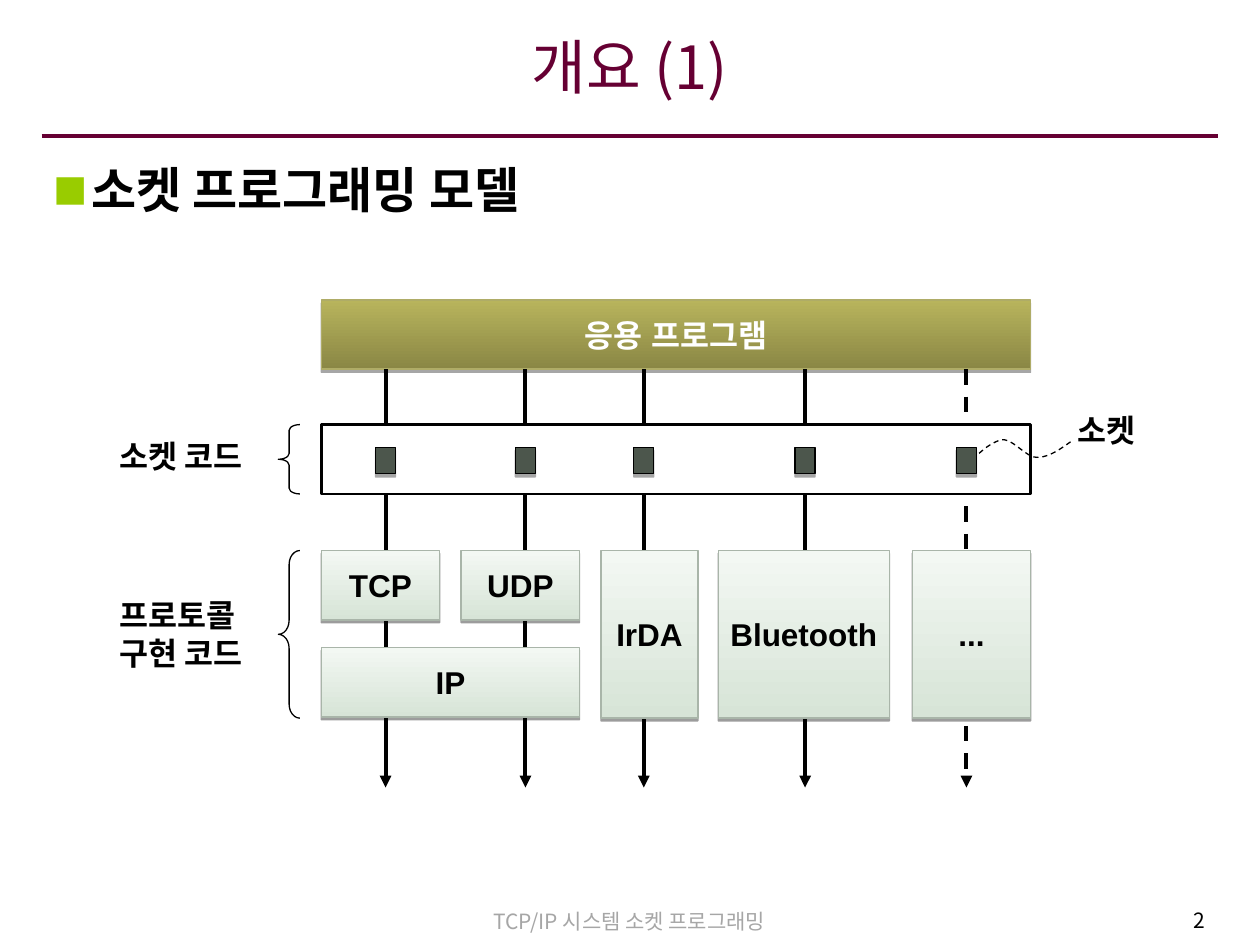
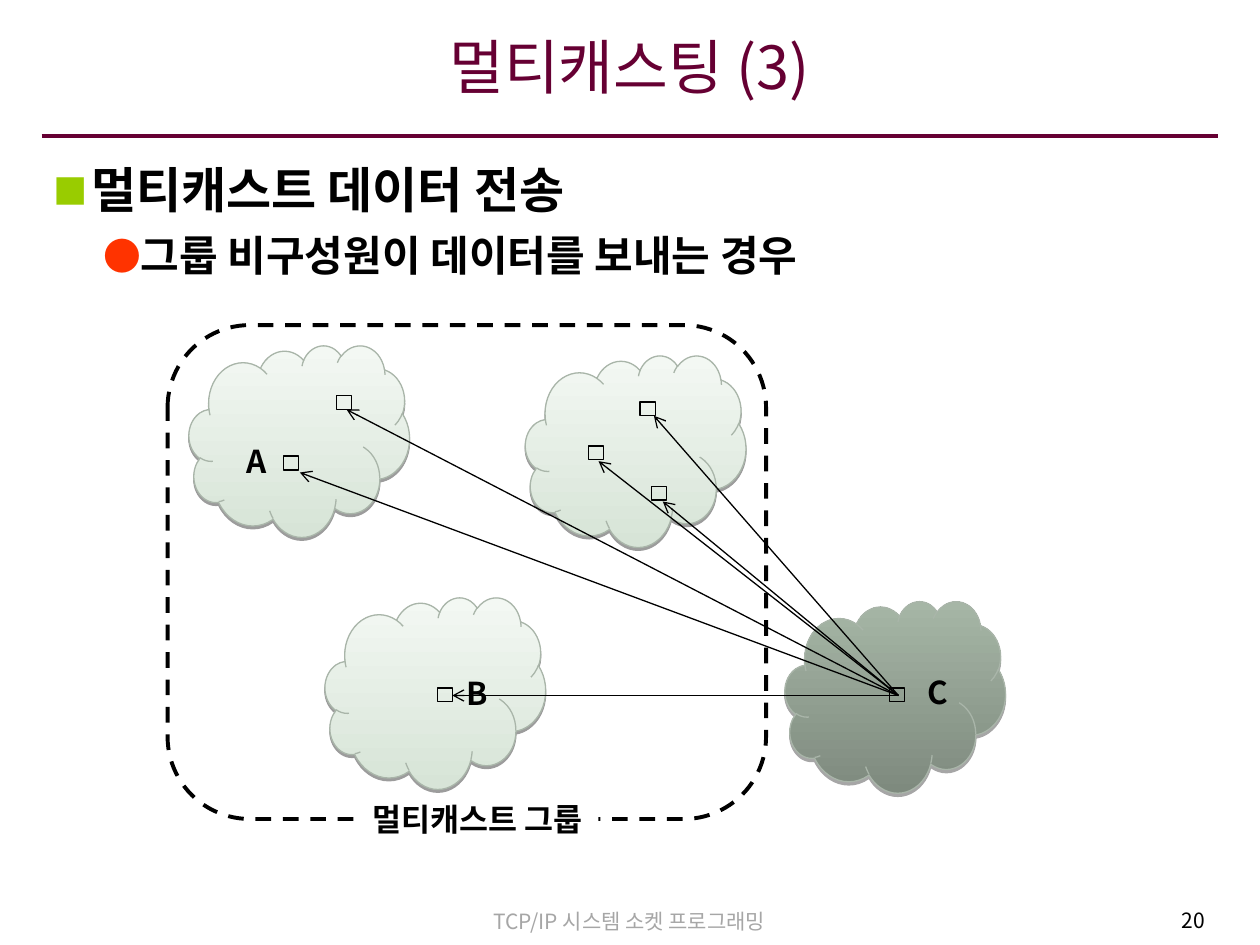
from dataclasses import dataclass
from typing import NamedTuple, Optional

from lxml import etree
from pptx import Presentation
from pptx import util as u
from pptx.dml.color import RGBColor
from pptx.enum import dml, shapes, text
from pptx.oxml.ns import qn

COLS, ROWS = 100, 75
KOREAN, LATIN = "Noto Sans CJK KR", "Arial"
MAROON, BLACK, WHITE, GRAY = "660033", "000000", "FFFFFF", "A6A6A6"
SAGE_EDGE, SOCKET_FILL = "A9B5A9", "4C564C"
FOOTER = "TCP/IP 시스템 소켓 프로그래밍"
SHAPE = shapes.MSO_SHAPE
ALIGN = text.PP_ALIGN
MIDDLE = text.MSO_ANCHOR.MIDDLE

prs = Presentation()
prs.slide_width, prs.slide_height = u.Inches(10), u.Inches(7.5)


def col(n: float) -> int:
    return round(prs.slide_width * n / COLS)


def row(n: float) -> int:
    return round(prs.slide_height * n / ROWS)


class Box(NamedTuple):
    left: float
    top: float
    width: float
    height: float

    def emu(self) -> tuple:
        return col(self.left), row(self.top), col(self.width), row(self.height)


class Point(NamedTuple):
    x: float
    y: float


@dataclass(frozen=True)
class Look:
    fill: tuple = ()
    edge: Optional[str] = None
    weight: float = 0.75
    dashed: bool = False
    shadow: Optional[tuple] = None


@dataclass(frozen=True)
class Type:
    size: float = 18
    color: str = BLACK
    bold: bool = True
    font: str = KOREAN
    align: ALIGN = ALIGN.LEFT


@dataclass(frozen=True)
class Bullet:
    char: str
    color: str
    scale: int
    indent: float
    before: float
    size: float


class Block(NamedTuple):
    label: str
    box: Box


APP = Look(("8A8745", "B8B45C"), "AFAC67", shadow=(35, 1.8))
SAGE = Look(("D7E4D7", "F3F8F3"), SAGE_EDGE, shadow=(38, 1.6))
DARK_SAGE = Look(("7E8A7E", "A6B6A6"), SAGE_EDGE, shadow=(35, 1.8))
SOCKET = Look((SOCKET_FILL,), BLACK, shadow=(35, 1.8))
OUTLINE = Look(edge=BLACK)
LABEL = Type()
CENTERED = Type(align=ALIGN.CENTER)
BLOCK_TYPE = Type(font=LATIN, align=ALIGN.CENTER)
BULLETS = (Bullet("■", "99CC00", 70, 3, 7, 28),
           Bullet("●", "FF3300", 90, 6.9, 6, 24))


def rgb(value: str) -> RGBColor:
    return RGBColor.from_string(value)


def sub(parent, tag: str, **attrs):
    return etree.SubElement(parent, qn(tag), {k: str(v) for k, v in attrs.items()})


def set_type(p, style: Type) -> None:
    p.alignment = style.align
    f = p.font
    f.name, f.size, f.bold = style.font, u.Pt(style.size), style.bold
    f.color.rgb = rgb(style.color)
    sub(f._element, "a:ea", typeface=style.font)


def write(sp, lines: str, style: Type, wrap: bool = False) -> None:
    tf = sp.text_frame
    tf.word_wrap = wrap
    tf.text = lines
    for p in tf.paragraphs:
        set_type(p, style)


def set_line(line, look: Look) -> None:
    if look.edge is None:
        line.fill.background()
        return
    line.color.rgb = rgb(look.edge)
    line.width = u.Pt(look.weight)
    if look.dashed:
        line.dash_style = dml.MSO_LINE.DASH


def dress(sp, look: Look) -> None:
    if len(look.fill) == 2:
        sp.fill.gradient()
        sp.fill.gradient_angle = 90
        for stop, color in zip(sp.fill.gradient_stops, look.fill):
            stop.color.rgb = rgb(color)
    elif look.fill:
        sp.fill.solid()
        sp.fill.fore_color.rgb = rgb(look.fill[0])
    else:
        sp.fill.background()
    set_line(sp.line, look)
    sp.shadow.inherit = False
    if look.shadow:
        alpha, distance = look.shadow
        effects = sp._element.spPr.find(qn("a:effectLst"))
        shadow = sub(effects, "a:outerShdw", blurRad=0, dist=u.Pt(distance),
                     dir=90 * 60000, rotWithShape=0)
        sub(sub(shadow, "a:srgbClr", val=BLACK), "a:alpha", val=alpha * 1000)


def add_block(slide, box: Box, look: Look, kind=SHAPE.RECTANGLE,
              label: str = "", style: Type = BLOCK_TYPE):
    sp = slide.shapes.add_shape(kind, *box.emu())
    dress(sp, look)
    if label:
        write(sp, label, style)
        sp.text_frame.vertical_anchor = MIDDLE
    return sp


def add_label(slide, box: Box, label: str, style: Type = LABEL,
              anchor=MIDDLE, wrap: bool = False) -> None:
    sp = slide.shapes.add_textbox(*box.emu())
    write(sp, label, style, wrap)
    sp.text_frame.vertical_anchor = anchor


def add_line(slide, start: Point, end: Point, look: Look, head: str = "") -> None:
    c = slide.shapes.add_connector(shapes.MSO_CONNECTOR.STRAIGHT,
                                   col(start.x), row(start.y), col(end.x), row(end.y))
    set_line(c.line, look)
    if head:
        sub(c.line._get_or_add_ln(), "a:tailEnd", type=head)
    sub(c._element.spPr, "a:effectLst")


def add_curve(slide, start: Point, arcs: list, look: Look, steps: int = 12) -> None:
    points = [start]
    for a, b, c in arcs:
        o = points[-1]
        for t in (i / steps for i in range(1, steps + 1)):
            s = 1 - t
            weights = s ** 3, 3 * s * s * t, 3 * s * t * t, t ** 3
            points.append(Point(*(sum(w * v for w, v in zip(weights, axis))
                                  for axis in zip(o, a, b, c))))
    path = [(col(p.x), row(p.y)) for p in points]
    builder = slide.shapes.build_freeform(*path[0])
    builder.add_line_segments(path[1:], close=False)
    dress(builder.convert_to_shape(), look)


def add_bullets(slide, items: list) -> None:
    sp = slide.shapes.add_textbox(*Box(3.3, 12.2, 93.3, 58.6).emu())
    tf = sp.text_frame
    tf.word_wrap = True
    tf.text = "\n".join(items)
    for level, (p, b) in enumerate(zip(tf.paragraphs, BULLETS)):
        p.level = level
        p.space_before = u.Pt(b.before)
        pPr = p._p.get_or_add_pPr()
        pPr.set("marL", str(col(b.indent)))
        pPr.set("indent", str(-col(3)))
        sub(sub(pPr, "a:buClr"), "a:srgbClr", val=b.color)
        sub(pPr, "a:buSzPct", val=b.scale * 1000)
        sub(pPr, "a:buFont", typeface=KOREAN)
        sub(pPr, "a:buChar", char=b.char)
        set_type(p, Type(b.size))


def add_page(title: str, number: int, items: list):
    slide = prs.slides.add_slide(prs.slide_layouts[5])
    sp = slide.shapes.title
    sp.left, sp.top, sp.width, sp.height = Box(3.3, 1.5, 93.3, 8.5).emu()
    write(sp, title, Type(34, MAROON, False, align=ALIGN.CENTER), wrap=True)
    tf = sp.text_frame
    tf.auto_size = text.MSO_AUTO_SIZE.NONE
    tf.vertical_anchor = MIDDLE
    tf.margin_left = tf.margin_right = col(0.8)
    tf.margin_top, tf.margin_bottom = row(0.5), row(1.6)
    add_line(slide, Point(3.3, 10.8), Point(96.7, 10.8), Look(edge=MAROON, weight=2.25))
    top = text.MSO_ANCHOR.TOP
    add_label(slide, Box(28.7, 71.6, 42.5, 3), FOOTER,
              Type(12, GRAY, False, align=ALIGN.CENTER), top, True)
    add_label(slide, Box(75.4, 71.5, 21.2, 3.3), str(number),
              Type(12, BLACK, False, align=ALIGN.RIGHT), top, True)
    add_bullets(slide, items)
    return slide


def build_socket_model() -> None:
    slide = add_page("개요 (1)", 2, ["소켓 프로그래밍 모델"])
    left, width, bar = 25.5, 56.3, 5.5
    app_top, code_top, stack_top, stack_height = 23.8, 33.7, 43.7, 13.3
    flows = [30.6, 41.7, 51.1, 63.9, 76.7]
    blocks = [
        Block("TCP", Box(left, stack_top, 9.4, bar)),
        Block("IP", Box(left, 51.4, 20.5, bar)),
        Block("UDP", Box(36.6, stack_top, 9.4, bar)),
        Block("IrDA", Box(47.7, stack_top, 7.7, stack_height)),
        Block("Bluetooth", Box(57, stack_top, 13.6, stack_height)),
        Block("...", Box(72.4, stack_top, 9.4, stack_height)),
    ]
    add_block(slide, Box(left, app_top, width, bar), APP, label="응용 프로그램",
              style=Type(color=WHITE, font=LATIN, align=ALIGN.CENTER))
    for x in flows:
        add_line(slide, Point(x, app_top + bar), Point(x, 62.5),
                 Look(edge=BLACK, weight=2.25, dashed=x == flows[-1]), "triangle")
    add_block(slide, Box(left, code_top, width, bar), Look((WHITE,), BLACK, 1.5))
    for block in blocks:
        add_block(slide, block.box, SAGE, label=block.label)

    add_label(slide, Box(84.5, 31.9, 7, 4.4), "소켓")
    add_curve(slide, Point(76.7, 37), [
        (Point(77.6, 36), Point(78.6, 35.1), Point(79.5, 34.9)),
        (Point(80.4, 34.8), Point(81.4, 36.3), Point(82.3, 36.3)),
        (Point(83.3, 36.3), Point(84.2, 35.6), Point(85.2, 34.9)),
    ], Look(edge=BLACK, dashed=True))
    add_label(slide, Box(8.5, 34.2, 13.6, 3.9), "소켓 코드")
    add_label(slide, Box(8.5, 46.4, 12.8, 7.8), "프로토콜\n구현 코드")
    for top, height, bend in ((code_top, bar, 0.27), (stack_top, stack_height, 0.65)):
        brace = add_block(slide, Box(22.1, top, 1.7, height), OUTLINE, SHAPE.LEFT_BRACE)
        brace.adjustments[0] = bend
    for x in flows:
        add_block(slide, Box(x - 0.8, 35.5, 1.6, 2.1), SOCKET)


def build_multicast() -> None:
    slide = add_page("멀티캐스팅 (3)", 20,
                     ["멀티캐스트 데이터 전송", "그룹 비구성원이 데이터를 보내는 경우"])
    clouds = [(Point(15, 27.4), SAGE), (Point(41.7, 28.2), SAGE),
              (Point(62.3, 47.7), DARK_SAGE), (Point(25.8, 47.4), SAGE)]
    hosts = [Point(22.5, 36.2), Point(50.8, 31.9), Point(46.7, 35.4), Point(51.7, 38.6),
             Point(26.7, 31.4), Point(34.7, 54.6), Point(70.6, 54.6)]
    names = {"A": Point(18.3, 34.6), "B": Point(35.8, 53), "C": Point(72.3, 52.9)}
    sender = Point(71.3, 55.2)
    targets = [Point(52.6, 39.8), Point(51.9, 33), Point(47.5, 36.6),
               Point(27.5, 32.5), Point(23.8, 37.5), Point(35.9, 55.2)]
    for at, look in clouds:
        add_block(slide, Box(*at, 17.5, 15.2), look, SHAPE.CLOUD)
    for at in hosts:
        add_block(slide, Box(*at, 1.2, 1.1), OUTLINE)
    for name, at in names.items():
        add_label(slide, Box(*at, 4.2, 4), name, CENTERED)
    for target in targets:
        add_line(slide, sender, target, OUTLINE, "arrow")
    add_block(slide, Box(13.3, 25.8, 47.5, 39.2), Look(edge=BLACK, weight=2.25, dashed=True),
              SHAPE.FLOWCHART_ALTERNATE_PROCESS)
    add_block(slide, Box(28.3, 63.4, 19.2, 3.2), Look((WHITE,)),
              label="멀티캐스트 그룹", style=CENTERED)


def main() -> None:
    build_socket_model()
    build_multicast()
    prs.save("out.pptx")


if __name__ == "__main__":
    main()
